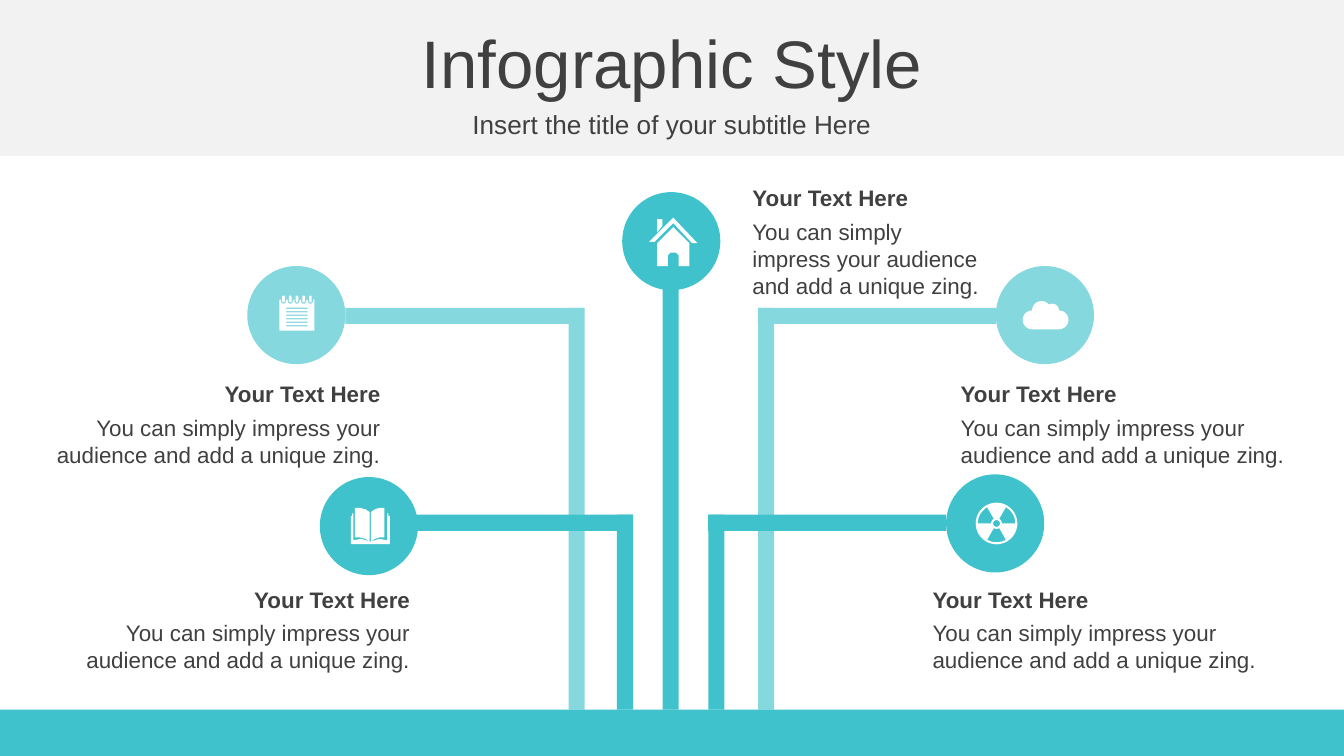
from math import cos, sin, radians
from pptx import Presentation
from pptx.util import Inches, Pt
from pptx.dml.color import RGBColor
from pptx.enum.shapes import MSO_SHAPE
from pptx.enum.text import PP_ALIGN, MSO_ANCHOR

COLOURS = {"band": "F2F2F2", "text": "404040", "teal": "3FC2CB",
           "pale": "85D8DE", "white": "FFFFFF"}
TITLE = "Infographic Style"
SUBTITLE = "Insert the title of your subtitle Here"
HEAD = "Your Text Here"
BODY = "You can simply impress your audience and add a unique zing."

BAR, DISC, BASE, ARM = 0.12, 0.73, 5.28, 1.77
RECT, OVAL = MSO_SHAPE.RECTANGLE, MSO_SHAPE.OVAL

# stem left, arm left, arm top, disc left, disc top, colour
BRANCHES = [
    (4.23, 2.57, 2.29, 1.84, 1.98, "pale"),
    (5.64, 5.64, 2.29, 7.41, 1.98, "pale"),
    (5.27, 5.27, 3.83, 7.04, 3.53, "teal"),
    (4.59, 2.94, 3.83, 2.38, 3.55, "teal"),
]

# left, heading top, width, body height, alignment
NOTES = [
    (0.12, 2.78, 2.81, 0.5, PP_ALIGN.RIGHT),
    (0.34, 4.31, 2.81, 0.5, PP_ALIGN.RIGHT),
    (6.84, 4.31, 2.81, 0.5, PP_ALIGN.LEFT),
    (7.05, 2.78, 2.81, 0.5, PP_ALIGN.LEFT),
    (5.5, 1.32, 1.93, 0.71, PP_ALIGN.LEFT),
]

HOUSE = [
    [(5.01, 1.69), (5.13, 1.81), (5.13, 1.98), (5.05, 1.98), (5.05, 1.9),
     (5.03, 1.88), (4.99, 1.88), (4.97, 1.9), (4.97, 1.98), (4.89, 1.98),
     (4.89, 1.81)],
    [(4.89, 1.63), (4.93, 1.63), (4.93, 1.68), (4.89, 1.73)],
    [(5.01, 1.62), (5.19, 1.81), (5.15, 1.81), (5.01, 1.66), (4.87, 1.8),
     (4.83, 1.8)],
]
BOOK = [
    [(2.61, 3.84), (2.62, 3.84), (2.62, 3.82), (2.63, 3.82), (2.63, 4.02),
     (2.69, 4.01), (2.75, 4.03), (2.76, 4.03), (2.82, 4.01), (2.88, 4.02),
     (2.88, 3.82), (2.89, 3.82), (2.89, 3.84), (2.9, 3.84), (2.9, 4.05),
     (2.61, 4.05)],
    [(2.64, 3.78), (2.68, 3.78), (2.72, 3.79), (2.75, 3.81), (2.75, 4.03),
     (2.72, 4.01), (2.68, 4), (2.64, 4)],
    [(2.76, 3.81), (2.79, 3.79), (2.82, 3.78), (2.86, 3.78), (2.86, 4),
     (2.82, 4), (2.79, 4.01), (2.76, 4.03)],
]
# centre x, centre y, radius, first angle, last angle
CLOUD = [(7.68, 2.38, 0.07, 90, 270), (7.75, 2.31, 0.07, 180, 330),
         (7.83, 2.31, 0.05, 240, 350), (7.88, 2.38, 0.07, -90, 90)]

prs = Presentation()
prs.slide_width = Inches(10)
prs.slide_height = prs.slide_width * 9 // 16
slide = prs.slides.add_slide(prs.slide_layouts[0])
shapes = slide.shapes


def rgb(name):
    return RGBColor.from_string(COLOURS[name])


def paint(shape, colour):
    shape.shadow.inherit = False
    shape.fill.solid()
    shape.fill.fore_color.rgb = rgb(colour)
    shape.line.fill.background()
    return shape


def draw(kind, x, y, w, h, colour):
    box = [Inches(v) for v in (x, y, w, h)]
    return paint(shapes.add_shape(kind, *box), colour)


def trace(rings):
    """Draw closed rings as one white outline; inner rings become holes."""
    pen = None
    for ring in rings:
        start, *rest = [(Inches(x), Inches(y)) for x, y in ring]
        if pen is None:
            pen = shapes.build_freeform(*start)
        else:
            pen.move_to(*start)
        pen.add_line_segments(rest)
    paint(pen.convert_to_shape(), "white")


def write(shape, text, box, size, align, bold=False):
    shape.left, shape.top, shape.width, shape.height = map(Inches, box)
    frame = shape.text_frame
    frame.text = text
    frame.word_wrap = True
    frame.vertical_anchor = MSO_ANCHOR.MIDDLE
    para = frame.paragraphs[0]
    para.alignment = align
    font = para.runs[0].font
    font.name, font.size, font.bold = "Arial", Pt(size), bold
    font.color.rgb = rgb("text")


def label(text, box, align, bold=False):
    write(shapes.add_textbox(0, 0, 0, 0), text, box, 12, align, bold)


def arc(x, y, r, first, last):
    step = 10 if last > first else -10
    return [(x + r * cos(radians(a)), y + r * sin(radians(a)))
            for a in range(first, last + step, step)]


def block(x, y, w, h):
    return [(x, y), (x + w, y), (x + w, y + h), (x, y + h)]


def pill(x, y, w, h):
    r = w / 2
    return (arc(x + r, y + r, r, 180, 360)
            + arc(x + r, y + h - r, r, 0, 180))


def notepad():
    sheet = [(2.08, 2.46), (2.08, 2.23)]
    lines = [block(2.13, 2.29 + i * 0.026, 0.16, 0.01) for i in range(6)]
    loops = []
    for i in range(5):
        x = 2.09 + i * 0.05
        sheet += [(x, 2.23)] + arc(x + 0.02, 2.24, 0.02, 180, 0)
        sheet += [(x + 0.04, 2.23)]
        loops.append(pill(x + 0.01, 2.2, 0.02, 0.05))
    sheet += [(2.34, 2.23), (2.34, 2.46)]
    return [sheet] + lines + loops


def hazard(x=7.415, y=3.895):
    cuts = [arc(x, y, 0.14, mid - 30, mid + 30)
            + arc(x, y, 0.04, mid + 30, mid - 30) for mid in (90, 210, 330)]
    return [arc(x, y, 0.155, 0, 360)] + cuts + [arc(x, y, 0.025, 0, 360)]


band = draw(RECT, 0, 0, 10, 1.16, "band")
shapes._spTree.insert(2, band._element)
write(shapes.title, TITLE, (0, 0.14, 10, 0.63), 36, PP_ALIGN.CENTER)
write(slide.placeholders[1], SUBTITLE, (0, 0.77, 10, 0.31), 14,
      PP_ALIGN.CENTER)

for stem, arm, top, x, y, colour in BRANCHES:
    draw(RECT, stem, top, BAR, BASE - top, colour)
    draw(RECT, arm, top, ARM, BAR, colour)
    draw(OVAL, x, y, DISC, DISC, colour)
draw(RECT, 0, BASE, 10, 0.35, "teal")
draw(RECT, 4.93, 1.74, BAR, BASE - 1.74, "teal")
draw(OVAL, 4.63, 1.43, DISC, DISC, "teal")

cloud = [point for part in CLOUD for point in arc(*part)]
for icon in (BOOK, [cloud], notepad(), hazard(), HOUSE):
    trace(icon)

for x, y, w, h, align in NOTES:
    label(BODY, (x, y + 0.25, w, h), align)
    label(HEAD, (x, y, w, 0.3), align, True)

prs.save("out.pptx")
